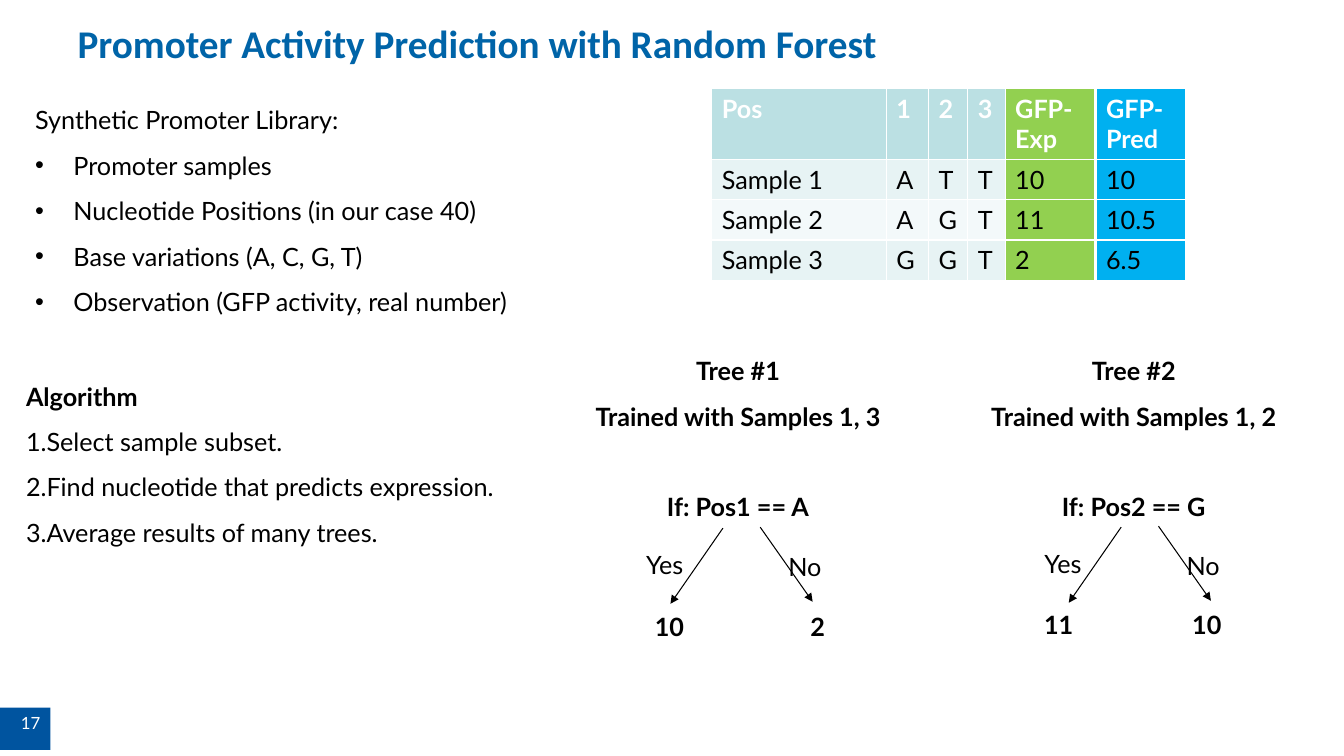
from dataclasses import dataclass

from lxml import etree
from pptx import Presentation
from pptx.dml.color import RGBColor
from pptx.enum.shapes import MSO_CONNECTOR as CONN, MSO_SHAPE as SHAPE
from pptx.enum.text import MSO_ANCHOR as ANCHOR, PP_ALIGN as ALIGN
from pptx.oxml.ns import qn
from pptx.util import Inches, Pt

BLACK = RGBColor(0x00, 0x00, 0x00)
WHITE = RGBColor(0xFF, 0xFF, 0xFF)
TITLE_BLUE = RGBColor(0x00, 0x64, 0xA8)
BADGE_BLUE = RGBColor(0x00, 0x54, 0x9F)
TEAL = RGBColor(0xBB, 0xE0, 0xE3)
BAND_DARK = RGBColor(0xE7, 0xF3, 0xF4)
BAND_LIGHT = RGBColor(0xF3, 0xF9, 0xFA)
GREEN = RGBColor(0x92, 0xD0, 0x50)
SKY = RGBColor(0x00, 0xB0, 0xF0)

TABLE_TOP = 0.88
ROW_HEIGHTS = (0.7, 0.4, 0.4, 0.4)
BANDS = (TEAL, BAND_DARK, BAND_LIGHT, BAND_DARK)


@dataclass
class Column:
    width: float
    texts: tuple[str, ...]
    fill: RGBColor | None = None  # None follows the row bands


@dataclass
class Tree:
    lines: tuple[str, ...]
    left: float
    width: float
    branch_x: float
    branch_y: float
    leaf_x: float
    leaf_y: float
    leaves: tuple[str, str]


SAMPLE_COLUMNS = [
    Column(1.73, ("Pos", "Sample 1", "Sample 2", "Sample 3")),
    Column(0.42, ("1", "A", "A", "G")),
    Column(0.39, ("2", "T", "G", "G")),
    Column(0.37, ("3", "T", "T", "T")),
    Column(0.89, ("GFP-Exp", "10", "11", "2"), GREEN),
]
PREDICTION_COLUMNS = [Column(0.89, ("GFP-Pred", "10", "10.5", "6.5"), SKY)]

TREES = [
    Tree(("Tree #1", "Trained with Samples 1, 3", "If: Pos1 == A"),
         5.27, 4.1, 6.31, 5.25, 6.31, 5.87, ("10", "2")),
    Tree(("Tree #2", "Trained with Samples 1, 2", "If: Pos2 == G"),
         9.38, 3.73, 10.26, 5.24, 10.17, 5.85, ("11", "10")),
]


def write(p, text: str, *, size=18, font="Lato", color=BLACK, bold=False,
          align=None, spacing=None) -> None:
    if align is not None:
        p.alignment = align
    if spacing:
        p.line_spacing = spacing
    r = p.add_run()
    r.text = text
    r.font.name, r.font.size, r.font.bold = font, Pt(size), bold
    r.font.color.rgb = color


def add_text(s, lines, left: float, top: float, width: float, height: float, **fmt) -> list:
    tf = s.shapes.add_textbox(Inches(left), Inches(top), Inches(width), Inches(height)).text_frame
    tf.word_wrap = True
    for i, line in enumerate(lines):
        p = tf.add_paragraph() if i else tf.paragraphs[0]
        write(p, line, spacing=1.5, **fmt)
    return list(tf.paragraphs)


def add_bullet(p, tag: str, indent: float = 0, **attrs: str) -> None:
    pPr = p._p.get_or_add_pPr()
    pPr.set("marL", str(Inches(indent)))
    pPr.set("indent", str(-Inches(indent)))
    if tag == "a:buChar":
        etree.SubElement(pPr, qn("a:buFont")).set("typeface", "Arial")
    etree.SubElement(pPr, qn(tag), attrs)


def add_table(s, columns: list[Column], left: float) -> None:
    width = sum(c.width for c in columns)
    table = s.shapes.add_table(len(ROW_HEIGHTS), len(columns), Inches(left), Inches(TABLE_TOP),
                               Inches(width), Inches(sum(ROW_HEIGHTS))).table
    for row, height in zip(table.rows, ROW_HEIGHTS):
        row.height = Inches(height)
    for j, column in enumerate(columns):
        table.columns[j].width = Inches(column.width)
        for i, text in enumerate(column.texts):
            cell = table.cell(i, j)
            cell.fill.solid()
            cell.fill.fore_color.rgb = column.fill or BANDS[i]
            write(cell.text_frame.paragraphs[0], text,
                  color=BLACK if i else WHITE, bold=i == 0)


def add_arrow(s, x1: float, y1: float, x2: float, y2: float) -> None:
    line = s.shapes.add_connector(CONN.STRAIGHT, Inches(x1), Inches(y1), Inches(x2), Inches(y2))
    line.line.color.rgb = BLACK
    line.line.width = Pt(0.75)
    etree.SubElement(line.line._get_or_add_ln(), qn("a:tailEnd")).set("type", "triangle")
    etree.SubElement(line._element.spPr, qn("a:effectLst"))


def add_tree(s, tree: Tree) -> None:
    heading = add_text(s, tree.lines, tree.left, 3.33, tree.width, 1.87,
                       bold=True, align=ALIGN.CENTER)
    heading[-1].space_before = Pt(32.4)
    for i, leaf in enumerate(tree.leaves):
        add_text(s, [leaf], tree.leaf_x + 1.47 * i, tree.leaf_y, 0.66, 0.51,
                 bold=True, align=ALIGN.CENTER)
    x, y = tree.branch_x, tree.branch_y
    add_arrow(s, x + 0.86, y - 0.01, x + 0.34, y + 0.74)
    add_arrow(s, x + 1.23, y - 0.02, x + 1.75, y + 0.72)
    add_text(s, ["Yes"], x, y, 0.91, 0.51)
    add_text(s, ["No"], x + 1.41, y + 0.02, 0.91, 0.51)


def main() -> None:
    prs = Presentation()
    prs.slide_width, prs.slide_height = Inches(13.33), Inches(7.5)
    s = prs.slides.add_slide(prs.slide_layouts[5])

    # Title
    title = s.shapes.title
    title.left, title.top = Inches(0.67), Inches(0.14)
    title.width, title.height = Inches(11.99), Inches(0.88)
    title.text_frame.vertical_anchor = ANCHOR.TOP
    write(title.text_frame.paragraphs[0], "Promoter Activity Prediction with Random Forest",
          size=28, font="Calibri", color=TITLE_BLUE, bold=True, align=ALIGN.LEFT)

    # Page number badge
    badge = s.shapes.add_shape(SHAPE.RECTANGLE, 0, Inches(7.02), Inches(0.5), Inches(0.42))
    badge.shadow.inherit = False
    badge.fill.solid()
    badge.fill.fore_color.rgb = BADGE_BLUE
    badge.line.fill.background()
    badge.text_frame.vertical_anchor = ANCHOR.TOP
    write(badge.text_frame.paragraphs[0], "17", size=12, color=WHITE, align=ALIGN.RIGHT)

    # Library description
    library = add_text(s, ["Synthetic Promoter Library:", "Promoter samples",
                           "Nucleotide Positions (in our case 40)",
                           "Base variations (A, C, G, T)",
                           "Observation (GFP activity, real number)"], 0.25, 0.84, 6.05, 2.33)
    for p in library[1:]:
        add_bullet(p, "a:buChar", 0.38, char="•")

    # Algorithm steps
    steps = add_text(s, ["Algorithm", "Select sample subset.",
                         "Find nucleotide that predicts expression.",
                         "Average results of many trees."], 0.16, 3.58, 6.94, 1.92)
    steps[0].runs[0].font.bold = True
    for p in steps[1:]:
        add_bullet(p, "a:buAutoNum", type="arabicPeriod")

    # Measured and predicted activity
    add_table(s, PREDICTION_COLUMNS, 10.87)
    add_table(s, SAMPLE_COLUMNS, 7.06)

    # Decision trees
    for tree in TREES:
        add_tree(s, tree)

    prs.save("out.pptx")


if __name__ == "__main__":
    main()
